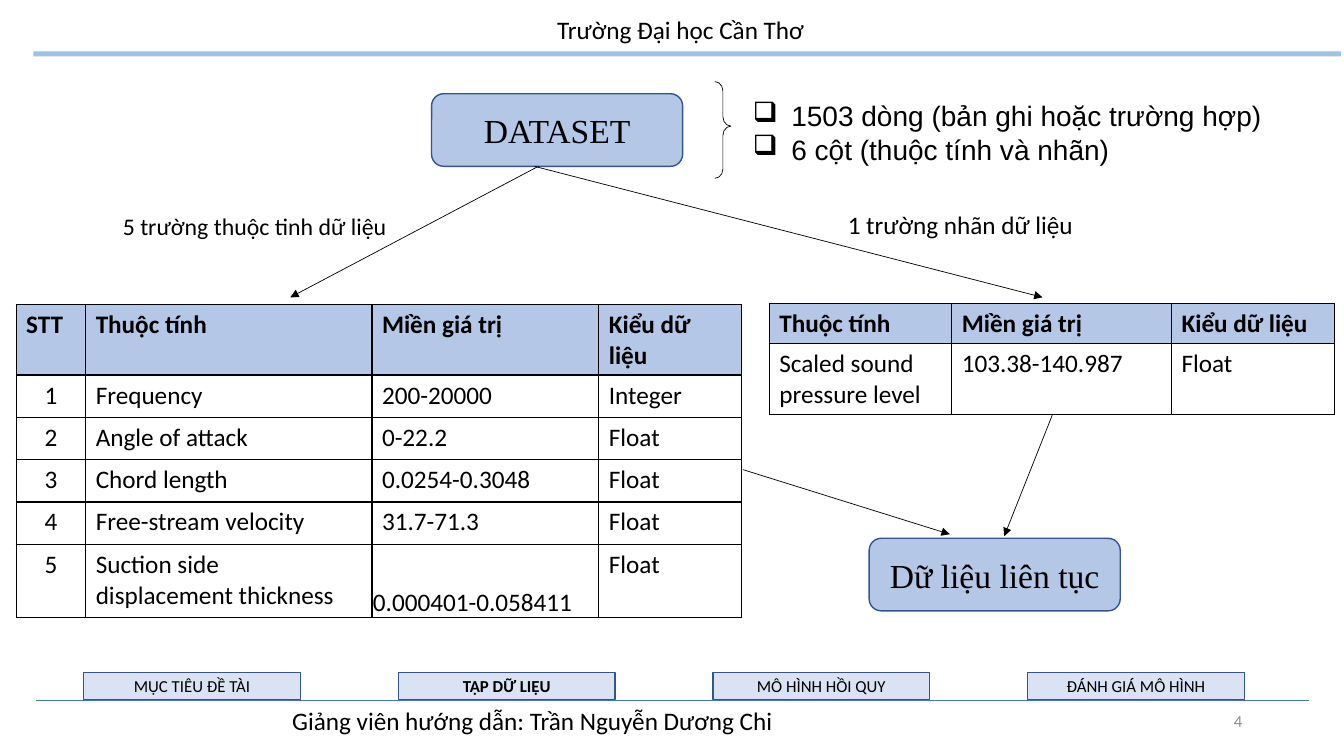
from dataclasses import dataclass

from lxml.etree import SubElement
from pptx import Presentation
from pptx.dml.color import RGBColor
from pptx.enum.shapes import MSO_CONNECTOR, MSO_SHAPE
from pptx.enum.text import MSO_ANCHOR, MSO_AUTO_SIZE, PP_ALIGN
from pptx.oxml import parse_xml
from pptx.oxml.ns import nsdecls, qn
from pptx.util import Inches, Pt


@dataclass(frozen=True)
class Theme:
    black: str = "000000"
    gray: str = "8C8C8C"
    rule: str = "9DC3E6"
    accent: str = "4472C4"
    edge: str = "325491"
    box: str = "B4C7E7"
    tab: str = "DAE3F3"
    white: str = "FFFFFF"
    sans: str = "Calibri"
    serif: str = "Times New Roman"
    list_font: str = "Arial"
    small: int = 12
    label: int = 17
    body: int = 18
    bullet: int = 20
    title: int = 24


T = Theme()
WIDTH, HEIGHT = 13.33, 7.5

HEADER = "Trường Đại học Cần Thơ"
ADVISOR = "Giảng viên hướng dẫn: Trần Nguyễn Dương Chi"
PAGE = "4"
FACTS = ["1503 dòng (bản ghi hoặc trường hợp)", "6 cột (thuộc tính và nhãn)"]
TABS = ["MỤC TIÊU ĐỀ TÀI", "TẬP DỮ LIỆU", "MÔ HÌNH HỒI QUY", "ĐÁNH GIÁ MÔ HÌNH"]
CURRENT_TAB = "TẬP DỮ LIỆU"
ATTRIBUTES = [
    ("STT", "Thuộc tính", "Miền giá trị", "Kiểu dữ liệu"),
    ("1", "Frequency", "200-20000", "Integer"),
    ("2", "Angle of attack", "0-22.2", "Float"),
    ("3", "Chord length", "0.0254-0.3048", "Float"),
    ("4", "Free-stream velocity", "31.7-71.3", "Float"),
    ("5", "Suction side displacement thickness", "0.000401-0.058411", "Float"),
]
LABELS = [
    ("Thuộc tính", "Miền giá trị", "Kiểu dữ liệu"),
    ("Scaled sound pressure level", "103.38-140.987", "Float"),
]

# Percent shares of the slide
NODES = [("DATASET", 32.11, 12.4), ("Dữ liệu liên tục", 64.67, 71.2)]
NODE_SIZE = (18.68, 9.6)
ARROWS = [
    (40.06, 22, 21.6, 39.33),
    (39.76, 22, 77.57, 39.33),
    (78.32, 54.8, 74.72, 70.93),
    (55.29, 62.13, 70.67, 70.67),
]
FOOTER_TOP = 92.67
TAB_LEFT, TAB_PITCH = 6.23, 23.41

prs = Presentation()
prs.slide_width, prs.slide_height = Inches(WIDTH), Inches(HEIGHT)
s = prs.slides.add_slide(prs.slide_layouts[6])


def across(share):
    return Inches(WIDTH * share / 100)


def down(share):
    return Inches(HEIGHT * share / 100)


def place(x, y, w, h):
    return across(x), down(y), across(w), down(h)


def color(value):
    return RGBColor.from_string(value)


def write(p, text, size, font=T.sans, ink=T.black, bold=False, align=PP_ALIGN.LEFT):
    p.alignment = align
    r = p.add_run()
    r.text = text
    r.font.size, r.font.name, r.font.bold = Pt(size), font, bold
    r.font.color.rgb = color(ink)


def add_text(box, text, size, anchor=MSO_ANCHOR.TOP, **style):
    tf = s.shapes.add_textbox(*place(*box)).text_frame
    tf.word_wrap = True
    tf.vertical_anchor = anchor
    if anchor == MSO_ANCHOR.TOP:
        tf.auto_size = MSO_AUTO_SIZE.SHAPE_TO_FIT_TEXT
    write(tf.paragraphs[0], text, size, **style)


def add_shape(kind, box, fill=None, line=None, width=1):
    sp = s.shapes.add_shape(kind, *place(*box))
    sp.shadow.inherit = False
    if fill:
        sp.fill.solid()
        sp.fill.fore_color.rgb = color(fill)
    else:
        sp.fill.background()
    if line:
        sp.line.color.rgb = color(line)
        sp.line.width = Pt(width)
    else:
        sp.line.fill.background()
    return sp


def add_box(kind, box, fill, text, size, **style):
    sp = add_shape(kind, box, fill, T.edge)
    tf = sp.text_frame
    tf.word_wrap = True
    tf.vertical_anchor = MSO_ANCHOR.MIDDLE
    write(tf.paragraphs[0], text, size, align=PP_ALIGN.CENTER, **style)


def add_line(x1, y1, x2, y2, ink, arrow=False):
    c = s.shapes.add_connector(MSO_CONNECTOR.STRAIGHT, across(x1), down(y1), across(x2), down(y2))
    c.line.color.rgb = color(ink)
    c.line.width = Pt(0.5)
    if arrow:
        SubElement(c.line._get_or_add_ln(), qn("a:tailEnd"), type="triangle")
    SubElement(c._element.spPr, qn("a:effectLst"))


def add_borders(cell):
    tcPr = cell._tc.get_or_add_tcPr()
    for i, side in enumerate(("lnL", "lnR", "lnT", "lnB")):
        tcPr.insert(i, parse_xml(
            f'<a:{side} {nsdecls("a")} w="{Pt(1)}"><a:solidFill>'
            f'<a:srgbClr val="{T.black}"/></a:solidFill></a:{side}>'))


def add_table(x, y, cols, heights, rows, body_fill=None, centered=()):
    frame = s.shapes.add_table(len(rows), len(cols), *place(x, y, sum(cols), sum(heights)))
    table = frame.table
    table.first_row = table.horz_banding = False
    for column, share in zip(table.columns, cols):
        column.width = across(share)
    for row, share in zip(table.rows, heights):
        row.height = down(share)
    for i, row in enumerate(rows):
        for j, text in enumerate(row):
            cell = table.cell(i, j)
            fill = body_fill if i else T.box
            if fill:
                cell.fill.solid()
                cell.fill.fore_color.rgb = color(fill)
            else:
                cell.fill.background()
            add_borders(cell)
            align = PP_ALIGN.CENTER if i and j in centered else PP_ALIGN.LEFT
            write(cell.text_frame.paragraphs[0], text, T.body, bold=i == 0, align=align)
    return table


def add_facts(box):
    tf = s.shapes.add_textbox(*place(*box)).text_frame
    tf.word_wrap = True
    tf.auto_size = MSO_AUTO_SIZE.SHAPE_TO_FIT_TEXT
    for i, fact in enumerate(FACTS):
        p = tf.add_paragraph() if i else tf.paragraphs[0]
        pPr = p._p.get_or_add_pPr()
        pPr.set("marL", str(Inches(0.38)))
        pPr.set("indent", str(-Inches(0.38)))
        SubElement(pPr, qn("a:buFont"), typeface="Wingdings")
        SubElement(pPr, qn("a:buChar"), char="q")
        write(p, fact, T.bullet, font=T.list_font)


add_shape(MSO_SHAPE.RECTANGLE, (2.48, 6.8, 97.3, 0.67), T.rule)
add_text((21.23, 0.93, 58.82, 5.87), HEADER, T.body, MSO_ANCHOR.MIDDLE, align=PP_ALIGN.CENTER)
add_line(2.7, FOOTER_TOP, 97.37, FOOTER_TOP, T.accent)
add_text((21, FOOTER_TOP, 57.39, 5.33), ADVISOR, T.body)
add_text((70.67, FOOTER_TOP, 22.5, 5.33), PAGE, T.small, MSO_ANCHOR.MIDDLE,
         ink=T.gray, align=PP_ALIGN.RIGHT)

attributes = add_table(1.2, 40.27, (5.18, 21.3, 16.88, 10.65),
                       (6.8, *[5.6] * 4, 9.73), ATTRIBUTES, centered=(0,))
last_range = attributes.cell(5, 2)
last_range.vertical_anchor = MSO_ANCHOR.BOTTOM
last_range.margin_left = last_range.margin_right = last_range.margin_top = Inches(0.01)
last_range.margin_bottom = 0
add_table(57.24, 40.13, (13.58, 16.35, 12.15), (4, 5.87), LABELS, body_fill=T.white)

for name, x, y in NODES:
    add_box(MSO_SHAPE.ROUNDED_RECTANGLE, (x, y, *NODE_SIZE), T.box, name, T.title, font=T.serif)
brace = add_shape(MSO_SHAPE.RIGHT_BRACE, (53.19, 10.8, 1.2, 12.8), line=T.black, width=0.5)
brace.adjustments[0], brace.adjustments[1] = 0.58, 0.46
add_facts((55.29, 12.4, 46.14, 10.27))
add_text((8.4, 27.33, 26.33, 5.2), "5 trường thuộc tinh dữ liệu", T.label)
add_text((62.34, 27.07, 33.46, 5.33), "1 trường nhãn dữ liệu", T.body)
for arrow in ARROWS:
    add_line(*arrow, T.black, arrow=True)
for i, tab in enumerate(TABS):
    add_box(MSO_SHAPE.RECTANGLE, (TAB_LEFT + i * TAB_PITCH, 88.93, 16.13, 3.6), T.tab,
            tab, T.small, bold=tab == CURRENT_TAB)

prs.save("out.pptx")
